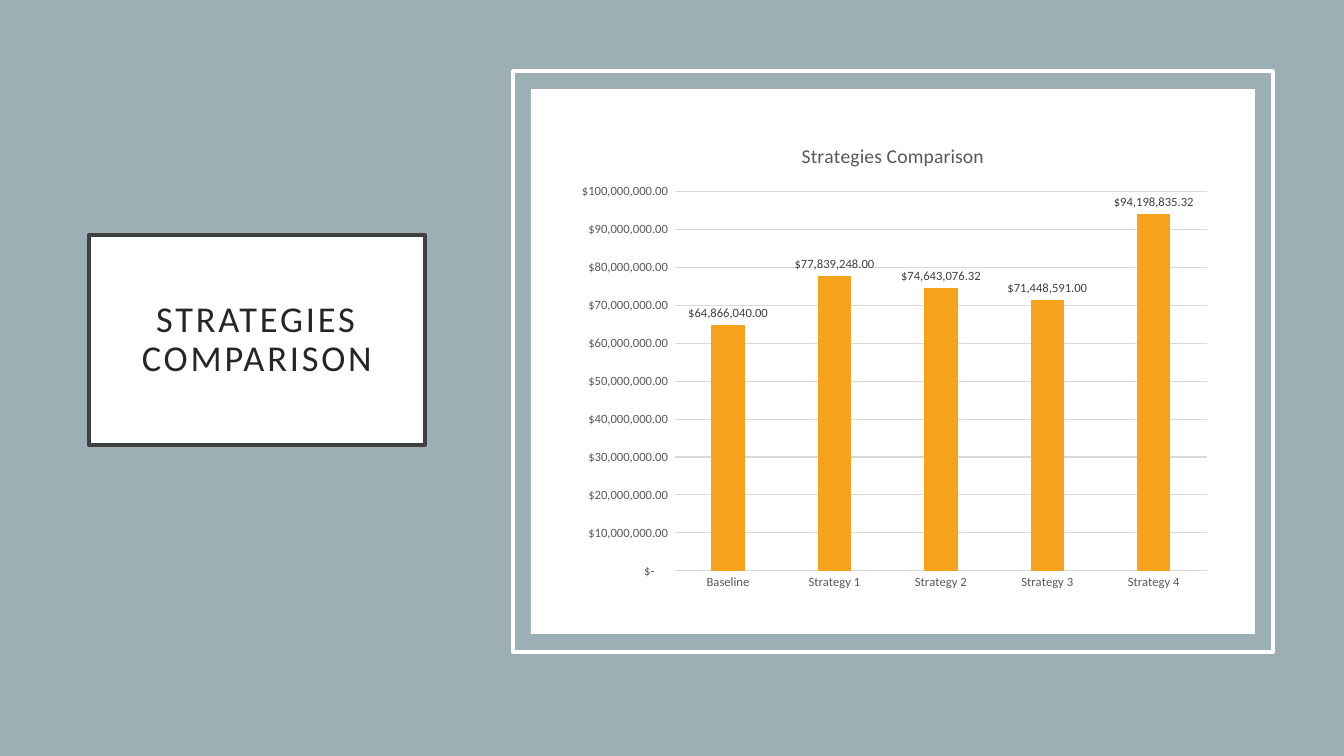
from pptx import Presentation
from pptx.chart.data import CategoryChartData
from pptx.dml.color import RGBColor
from pptx.enum.chart import XL_CHART_TYPE, XL_LABEL_POSITION, XL_TICK_MARK
from pptx.enum.shapes import MSO_SHAPE
from pptx.enum.text import MSO_ANCHOR, MSO_AUTO_SIZE, PP_ALIGN
from pptx.util import Emu, Inches, Pt

PIXELS_PER_INCH = 100.8
SLIDE_BOX = (0, 0, 1344, 756)
TITLE_BOX = (89, 235, 336, 210)
FRAME_BOX = (513, 71, 760, 581)
FONT = "Calibri"
COLORS = {
    "backdrop": "9BAFB5",
    "white": "FFFFFF",
    "title_border": "404040",
    "title_text": "262626",
    "axis_text": "595959",
    "label_text": "404040",
    "grid": "D9D9D9",
    "bar": "F6A21D",
}
DOLLARS = r'_("$"* #,##0.00_);_("$"* \(#,##0.00\);_("$"* "-"??_);_(@_)'
STRATEGY_TOTALS = {
    "Baseline": 64866040.00,
    "Strategy 1": 77839248.00,
    "Strategy 2": 74643076.32,
    "Strategy 3": 71448591.00,
    "Strategy 4": 94198835.32,
}


def px(pixels):
    return Emu(round(pixels * Inches(1) / PIXELS_PER_INCH))


def color(name):
    return RGBColor.from_string(COLORS[name])


def inset(box, margin):
    left, top, width, height = box
    return left + margin, top + margin, width - 2 * margin, height - 2 * margin


def style_font(font, size, color_name):
    font.name = FONT
    font.size = Pt(size)
    font.bold = False
    font.color.rgb = color(color_name)


def style_line(line, color_name, width):
    line.color.rgb = color(color_name)
    line.width = Pt(width)


def add_rectangle(slide, box, fill=None, border=None):
    shape = slide.shapes.add_shape(MSO_SHAPE.RECTANGLE, *map(px, box))
    shape.shadow.inherit = False
    if fill:
        shape.fill.solid()
        shape.fill.fore_color.rgb = color(fill)
    else:
        shape.fill.background()
    if border:
        style_line(shape.line, border, 2.5)
    else:
        shape.line.fill.background()
    return shape


def add_title(slide, box):
    title = slide.shapes.title
    title.left, title.top, title.width, title.height = map(px, box)
    title.fill.solid()
    title.fill.fore_color.rgb = color("white")
    style_line(title.line, "title_border", 3)

    frame = title.text_frame
    frame.word_wrap = True
    frame.auto_size = MSO_AUTO_SIZE.NONE
    frame.vertical_anchor = MSO_ANCHOR.MIDDLE
    frame.margin_left = frame.margin_right = px(30)
    frame.margin_top = frame.margin_bottom = px(20)

    paragraph = frame.paragraphs[0]
    paragraph.alignment = PP_ALIGN.CENTER
    paragraph.line_spacing = 0.9
    run = paragraph.add_run()
    run.text = "STRATEGIES COMPARISON"
    style_font(run.font, 26, "title_text")
    run.font._element.set("spc", "200")  # letter spacing of 2 pt


def style_axes(chart):
    for axis in (chart.category_axis, chart.value_axis):
        axis.major_tick_mark = axis.minor_tick_mark = XL_TICK_MARK.NONE
        style_font(axis.tick_labels.font, 9, "axis_text")
    chart.category_axis.has_major_gridlines = False
    style_line(chart.category_axis.format.line, "grid", 0.75)

    value_axis = chart.value_axis
    value_axis.minimum_scale = 0
    value_axis.maximum_scale = 100_000_000
    value_axis.major_unit = 10_000_000
    value_axis.format.line.fill.background()
    style_line(value_axis.major_gridlines.format.line, "grid", 0.75)
    value_axis.tick_labels.number_format = DOLLARS
    value_axis.tick_labels.number_format_is_linked = False


def add_strategy_chart(slide, box):
    data = CategoryChartData(number_format=DOLLARS)
    data.categories = list(STRATEGY_TOTALS)
    data.add_series("Series 1", list(STRATEGY_TOTALS.values()))
    chart = slide.shapes.add_chart(
        XL_CHART_TYPE.COLUMN_CLUSTERED, *map(px, box), data).chart
    chart.has_legend = False
    chart.font.name = FONT
    chart.font.size = Pt(10)

    # Chart title
    chart.has_title = True
    chart.chart_title.include_in_layout = False
    run = chart.chart_title.text_frame.paragraphs[0].add_run()
    run.text = "Strategies Comparison"
    style_font(run.font, 14, "axis_text")

    style_axes(chart)

    # Bars and their labels
    plot = chart.plots[0]
    plot.vary_by_categories = False
    plot.gap_width = 219
    plot.overlap = -27
    series = plot.series[0]
    series.format.fill.solid()
    series.format.fill.fore_color.rgb = color("bar")
    labels = series.data_labels
    labels.show_value = True
    labels.position = XL_LABEL_POSITION.OUTSIDE_END
    labels.number_format = DOLLARS
    labels.number_format_is_linked = False
    style_font(labels.font, 9, "label_text")


def add_chart_panel(slide, box):
    add_rectangle(slide, box, border="white")
    panel_box = inset(box, 18)
    add_rectangle(slide, panel_box, fill="white")
    add_strategy_chart(slide, inset(panel_box, 35))


def build_comparison_slide(presentation):
    slide = presentation.slides.add_slide(presentation.slide_layouts[5])
    backdrop = add_rectangle(slide, SLIDE_BOX, fill="backdrop")
    # The backdrop goes behind the title placeholder
    slide.shapes.title.element.addprevious(backdrop.element)
    add_title(slide, TITLE_BOX)
    add_chart_panel(slide, FRAME_BOX)


presentation = Presentation()
presentation.slide_width, presentation.slide_height = map(px, SLIDE_BOX[2:])
build_comparison_slide(presentation)
presentation.save("out.pptx")
